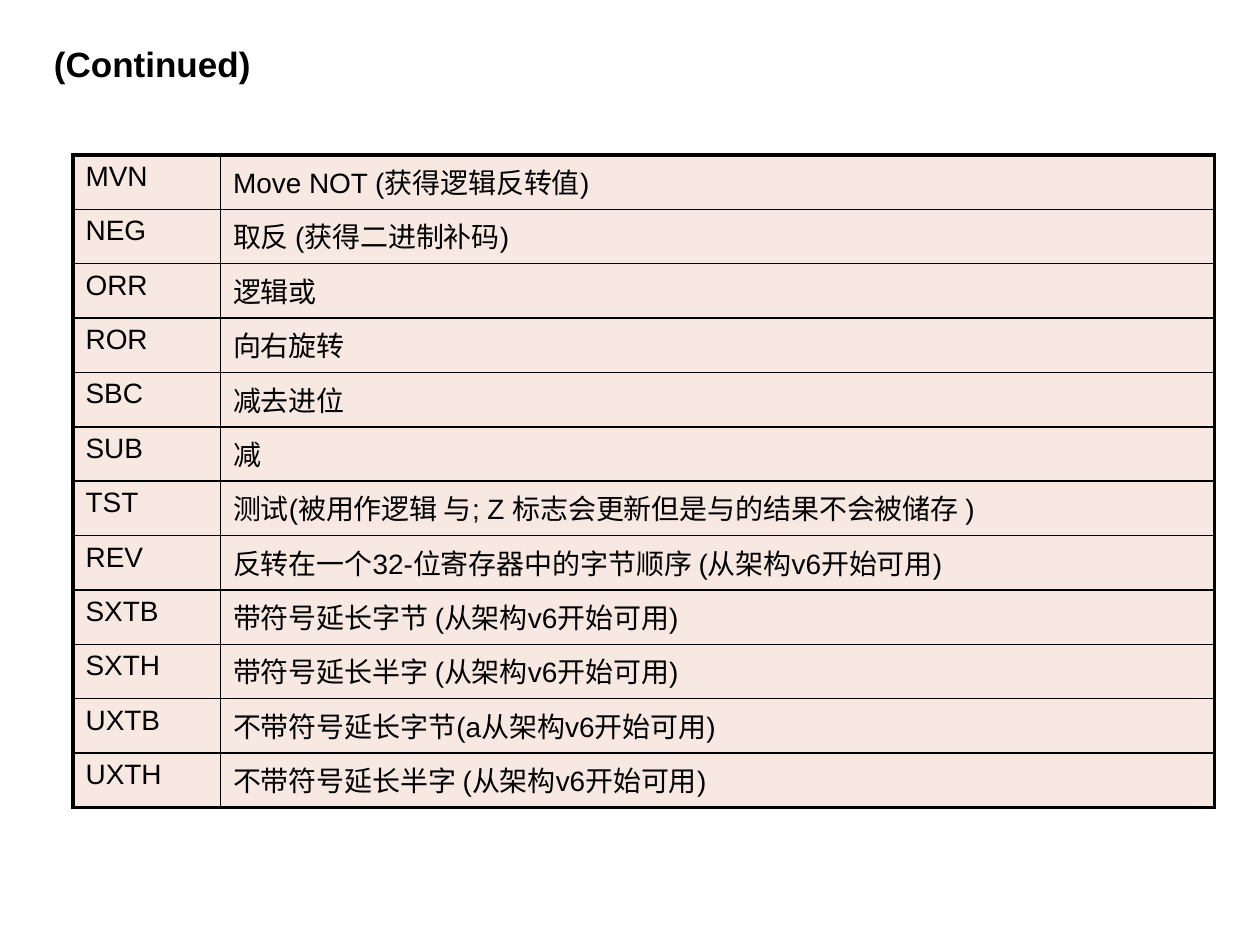
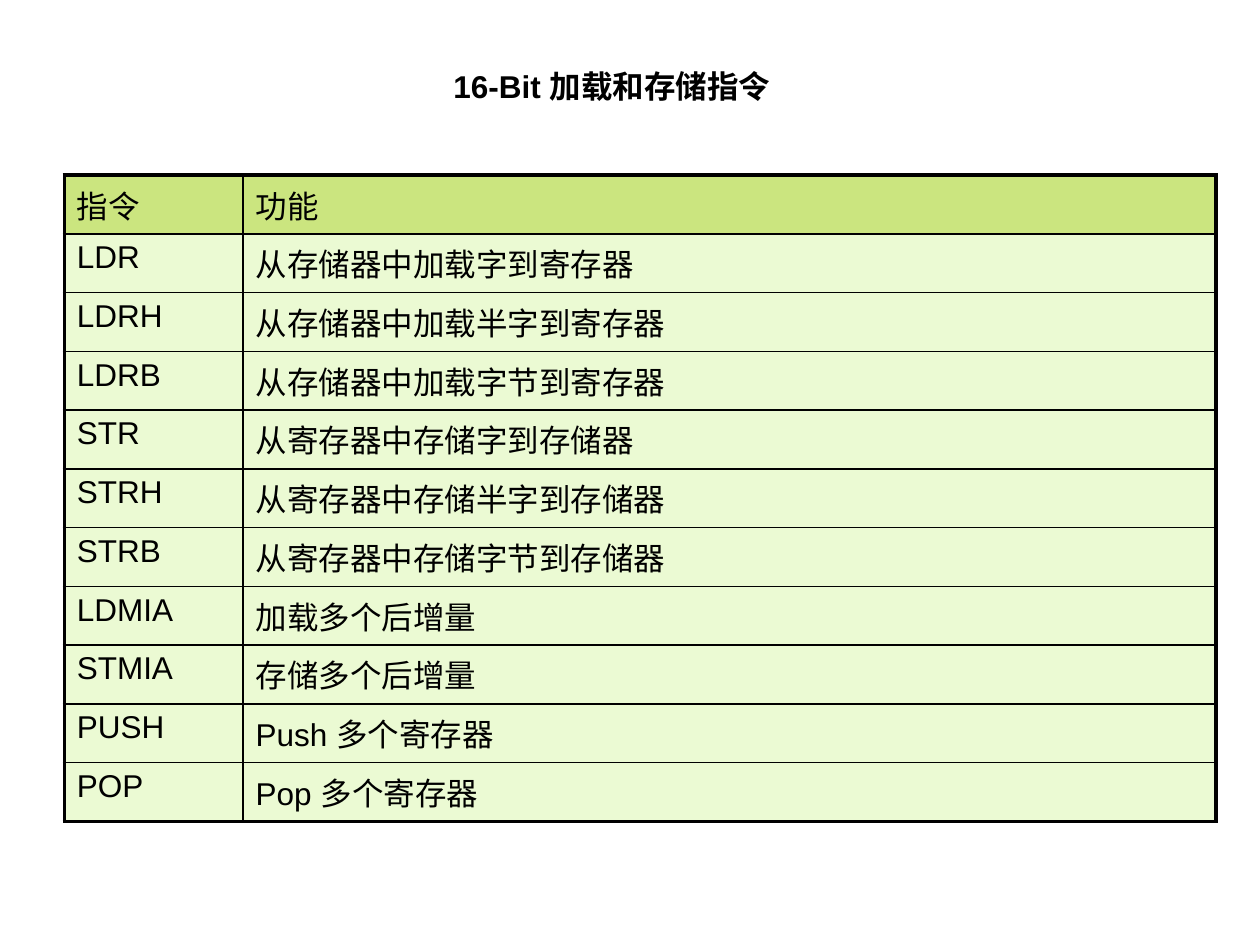
from lxml.etree import SubElement
from pptx import Presentation
from pptx.dml.color import RGBColor
from pptx.oxml.ns import qn
from pptx.util import Inches, Pt

BLACK = "000000"
PEACH = "F1D5C5"
GREEN = "99CC00"
PALE_GREEN = "D8F6A8"


def rgb(value):
    return RGBColor.from_string(value)


class Deck:
    font = "Arial"
    outer, inner = Pt(2.25), Pt(1)

    def __init__(self):
        self.prs = Presentation()
        self.prs.slide_width, self.prs.slide_height = Inches(10), Inches(7.5)

    def slide(self):
        self.s = self.prs.slides.add_slide(self.prs.slide_layouts[6])

    def style(self, p, size, bold=False):
        p.font.name = self.font
        p.font.size = Pt(size)
        p.font.bold = bold
        p.font.color.rgb = rgb(BLACK)

    def title(self, text, left, top, width, height, size, spacing=1.0):
        box = self.s.shapes.add_textbox(Inches(left), Inches(top), Inches(width), Inches(height))
        tf = box.text_frame
        tf.word_wrap = False
        p = tf.paragraphs[0]
        p.text = text
        p.line_spacing = spacing
        self.style(p, size, bold=True)

    def border(self, cell, side, width):
        ln = SubElement(cell._tc.get_or_add_tcPr(), qn(f"a:ln{side}"), w=str(width))
        SubElement(SubElement(ln, qn("a:solidFill")), qn("a:srgbClr"), val=BLACK)

    def fill(self, cell, color):
        cell.fill.solid()
        cell.fill.fore_color.rgb = rgb(color)
        clr = cell._tc.tcPr.find(f"{qn('a:solidFill')}/{qn('a:srgbClr')}")
        SubElement(clr, qn("a:alpha"), val="50000")

    def space_before(self, p, percent):
        spc = SubElement(p._p.get_or_add_pPr(), qn("a:spcBef"))
        SubElement(spc, qn("a:spcPct"), val=str(percent * 1000))

    def table(self, rows, left, top, widths, height, size, body, header=None):
        last_row, last_col = len(rows) - 1, len(widths) - 1
        frame = self.s.shapes.add_table(len(rows), len(widths), Inches(left), Inches(top),
                                        Inches(sum(widths)), Inches(height))
        table = frame.table
        table.first_row = table.horz_banding = False
        for col, width in zip(table.columns, widths):
            col.width = Inches(width)
        for i, row in enumerate(rows):
            for j, text in enumerate(row):
                cell = table.cell(i, j)
                p = cell.text_frame.paragraphs[0]
                p.text = text
                self.space_before(p, 20)
                self.style(p, size)
                edges = {"L": j == 0, "R": j == last_col, "T": i == 0, "B": i == last_row}
                for side, is_outer in edges.items():
                    self.border(cell, side, self.outer if is_outer else self.inner)
                self.fill(cell, header if header and i == 0 else body)


DATA_INSTRUCTIONS = [
    ("MVN", "Move NOT (获得逻辑反转值)"),
    ("NEG", "取反 (获得二进制补码)"),
    ("ORR", "逻辑或"),
    ("ROR", "向右旋转"),
    ("SBC", "减去进位"),
    ("SUB", "减"),
    ("TST", "测试(被用作逻辑 与; Z 标志会更新但是与的结果不会被储存 )"),
    ("REV", "反转在一个32-位寄存器中的字节顺序 (从架构v6开始可用)"),
    ("SXTB", "带符号延长字节 (从架构v6开始可用)"),
    ("SXTH", "带符号延长半字 (从架构v6开始可用)"),
    ("UXTB", "不带符号延长字节(a从架构v6开始可用)"),
    ("UXTH", "不带符号延长半字 (从架构v6开始可用)"),
]

LOAD_STORE_INSTRUCTIONS = [
    ("指令", "功能"),
    ("LDR", "从存储器中加载字到寄存器"),
    ("LDRH", "从存储器中加载半字到寄存器"),
    ("LDRB", "从存储器中加载字节到寄存器"),
    ("STR", "从寄存器中存储字到存储器"),
    ("STRH", "从寄存器中存储半字到存储器"),
    ("STRB", "从寄存器中存储字节到存储器"),
    ("LDMIA", "加载多个后增量"),
    ("STMIA", "存储多个后增量"),
    ("PUSH", "Push 多个寄存器"),
    ("POP", "Pop 多个寄存器"),
]


def main():
    deck = Deck()

    deck.slide()
    deck.table(DATA_INSTRUCTIONS, 0.58, 1.23, (1.17, 7.89), 5.18, 16, PEACH)
    deck.title("(Continued)", 0.33, 0.29, 1.78, 0.44, 20)

    deck.slide()
    deck.title("16-Bit 加载和存储指令", 3.5, 0.52, 4.42, 0.35, 18, spacing=0.9)
    deck.table(LOAD_STORE_INSTRUCTIONS, 0.51, 1.39, (1.42, 7.72), 5.13, 18, PALE_GREEN, header=GREEN)

    deck.prs.save("out.pptx")


if __name__ == "__main__":
    main()
